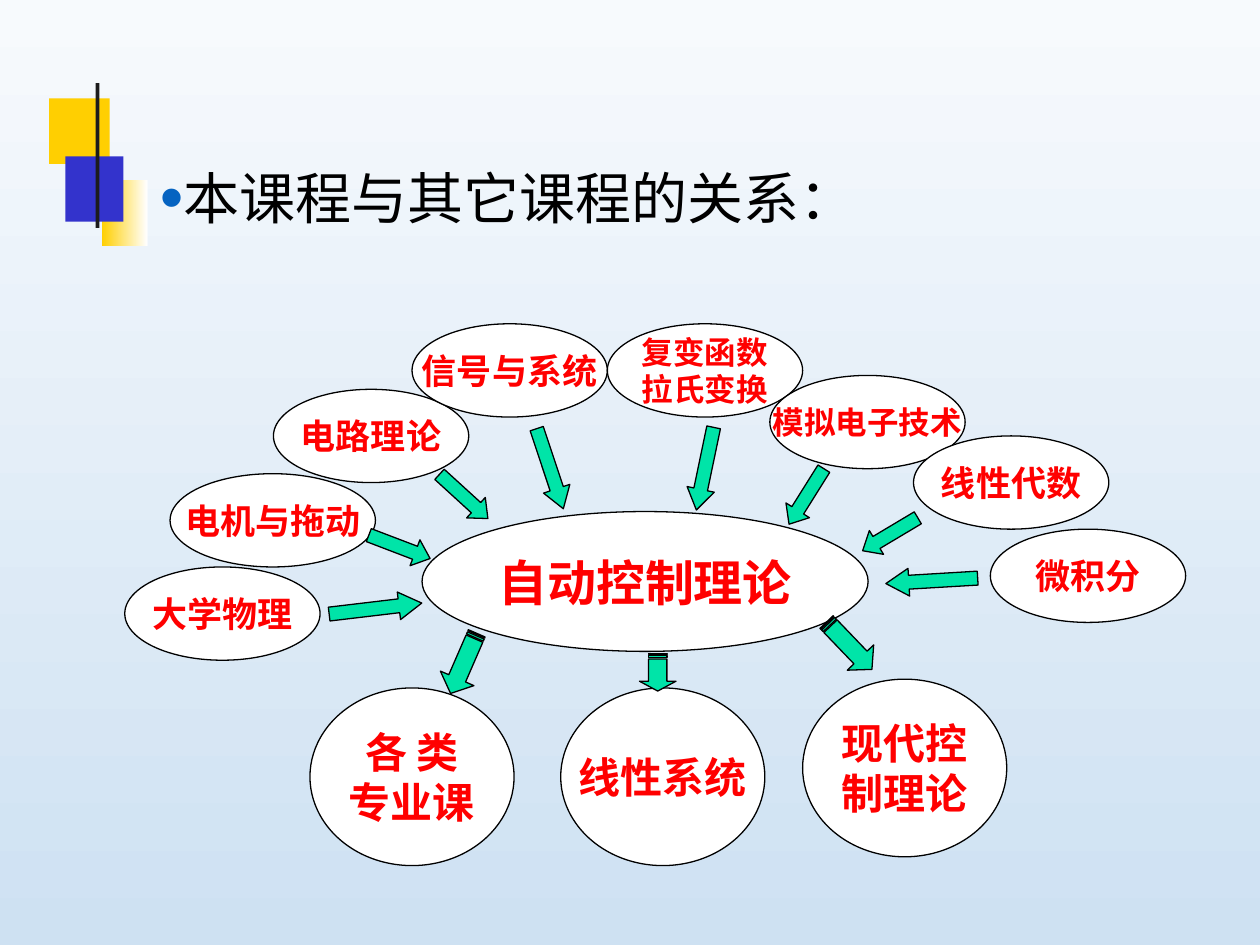
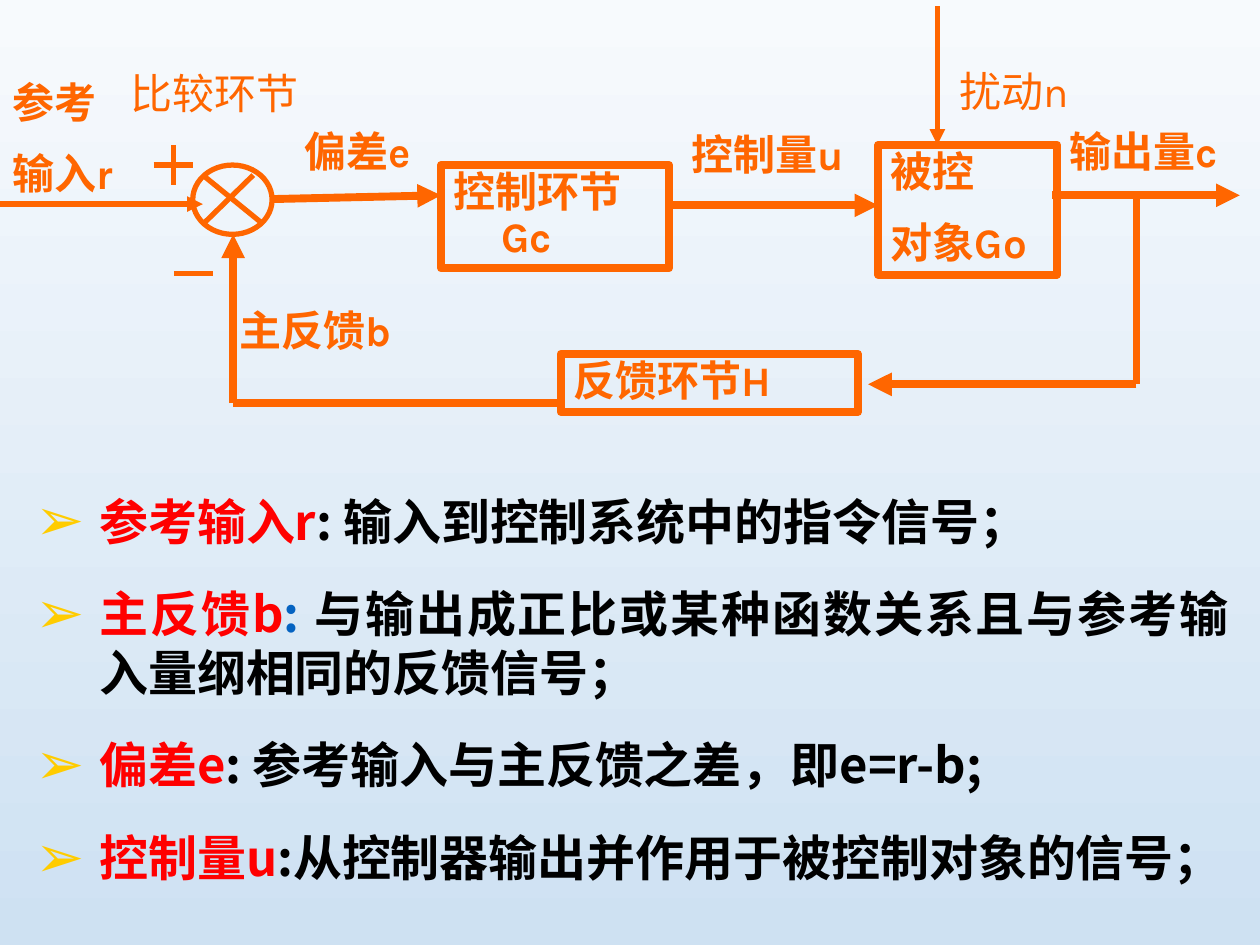
from lxml import etree
from pptx import Presentation
from pptx import util as u
from pptx.dml import color
from pptx.enum import shapes, text
from pptx.oxml import ns

CJK = "Noto Sans CJK SC"
ORANGE, RED, BLACK, WHITE = "FF6600", "FF0000", "000000", "FFFFFF"
YELLOW, INDIGO, GREEN, BLUE = "FFCF01", "3333CC", "00E4A8", "0563C1"
SKY = ("F7FAFD", "CEE1F2")
CM_PER_UNIT = 2.54
KIND = shapes.MSO_SHAPE
ALIGN = text.PP_ALIGN


def rgb(value):
    """Turn a hex string into a colour."""
    return color.RGBColor.from_string(value)


def lengths(*values):
    """Turn layout units, ten to the slide width, into lengths."""
    return [u.Cm(value * CM_PER_UNIT) for value in values]


def add_element(parent, tag, **attributes):
    """Append a DrawingML element to a parent."""
    return etree.SubElement(parent, ns.qn(tag), attributes)


def fill_gradient(fill, colours, angle):
    """Fill with a two-colour gradient; the angle runs anticlockwise."""
    fill.gradient()
    fill.gradient_angle = angle
    for stop, value in zip(fill.gradient_stops, colours):
        stop.color.rgb = rgb(value)


def add_slide(presentation):
    """Add a blank slide with the shared sky background."""
    slide = presentation.slides.add_slide(presentation.slide_layouts[6])
    fill_gradient(slide.background.fill, SKY, 270)
    return slide


def add_shape(slide, kind, box, fill=None, line=None, width=0.75):
    """Add a preset shape without shadow."""
    shape = slide.shapes.add_shape(kind, *lengths(*box))
    shape.shadow.inherit = False
    if fill:
        shape.fill.solid()
        shape.fill.fore_color.rgb = rgb(fill)
    else:
        shape.fill.background()
    if line:
        shape.line.color.rgb = rgb(line)
        shape.line.width = u.Pt(width)
    else:
        shape.line.fill.background()
    return shape


def add_bullet(paragraph, character, colour):
    """Give a paragraph an enlarged coloured bullet."""
    properties = paragraph._p.get_or_add_pPr()
    add_element(add_element(properties, "a:buClr"), "a:srgbClr", val=colour)
    add_element(properties, "a:buSzPct", val="120000")
    add_element(properties, "a:buFont", typeface="Arial")
    add_element(properties, "a:buChar", char=character)


def write_text(shape, paragraphs, size, font, bold=True, align=ALIGN.LEFT, hang=0,
               before=0, spacing=None, bullet=None, anchor=text.MSO_ANCHOR.TOP, wrap=True):
    """Write paragraphs, each a list of (text, colour) runs."""
    frame = shape.text_frame
    frame.word_wrap = wrap
    frame.vertical_anchor = anchor
    for index, runs in enumerate(paragraphs):
        paragraph = frame.add_paragraph() if index else frame.paragraphs[0]
        if bullet:
            add_bullet(paragraph, *bullet)
        if hang:
            properties = paragraph._p.get_or_add_pPr()
            indent, = lengths(hang)
            properties.set("marL", str(indent))
            properties.set("indent", str(-indent))
        paragraph.alignment = align
        if spacing:
            paragraph.line_spacing = spacing
        if index and before:
            paragraph.space_before = u.Pt(before)
        for words, colour in runs:
            run = paragraph.add_run()
            run.text = words
            run.font.size = u.Pt(size)
            run.font.bold = bold
            run.font.name = font
            run.font.color.rgb = rgb(colour)
            add_element(run._r.get_or_add_rPr(), "a:ea", typeface=CJK)


def add_text_box(slide, box, paragraphs, **style):
    """Add a text box with styled paragraphs."""
    write_text(slide.shapes.add_textbox(*lengths(*box)), paragraphs, **style)


def add_course(slide, box, lines, size=20, font="Arial"):
    """Add a white ellipse naming a course."""
    ellipse = add_shape(slide, KIND.OVAL, box, WHITE, BLACK)
    write_text(ellipse, [[(line, RED)] for line in lines.split("\n")], size, font,
               align=ALIGN.CENTER, anchor=text.MSO_ANCHOR.MIDDLE, wrap=False)


def add_block_arrow(slide, kind, box, rotation, head):
    """Add a rotated green block arrow with a given head length."""
    arrow = add_shape(slide, kind, box, GREEN, BLACK)
    arrow.rotation = rotation
    arrow.adjustments[0] = 0.5
    arrow.adjustments[1] = head


def add_line(slide, start, end, width=4.5, arrow=False):
    """Add an orange line, with an arrowhead at its end on request."""
    line = slide.shapes.add_connector(shapes.MSO_CONNECTOR.STRAIGHT, *lengths(*start, *end))
    line.line.color.rgb = rgb(ORANGE)
    line.line.width = u.Pt(width)
    if arrow:
        add_element(line.line._get_or_add_ln(), "a:tailEnd", type="triangle")
    add_element(line._element.spPr, "a:effectLst")


def add_label(slide, box, lines, bold=True, framed=False):
    """Add an orange diagram label, framed when it is a block."""
    if framed:
        shape = add_shape(slide, KIND.RECTANGLE, box, line=ORANGE, width=4.5)
    else:
        shape = slide.shapes.add_textbox(*lengths(*box))
    write_text(shape, [[(line, ORANGE)] for line in lines.split("\n")], 24, "Karla",
               bold=bold, hang=0.38, before=15, spacing=0.9)


def add_corner_ornament(slide):
    """Add the coloured squares and the bar beside the title."""
    add_shape(slide, KIND.RECTANGLE, (0.39, 0.78, 0.48, 0.52), YELLOW)
    faded = add_shape(slide, KIND.RECTANGLE, (0.81, 1.43, 0.36, 0.52), YELLOW)
    fill_gradient(faded.fill, (YELLOW, WHITE), 0)
    add_shape(slide, KIND.RECTANGLE, (0.52, 1.24, 0.46, 0.52), INDIGO)
    add_shape(slide, KIND.RECTANGLE, (0.76, 0.66, 0.03, 1.15), "1C1C1C")


def build_course_map(slide):
    """Build the slide on how the course relates to others."""
    add_corner_ornament(slide)
    add_text_box(slide, (1.17, 1.25, 7, 0.71), [[("本课程与其它课程的关系：", BLACK)]],
                 size=32, font=CJK, bold=False, bullet=("•", BLUE))
    add_course(slide, (3.35, 4.06, 3.54, 1.11), "自动控制理论", 28)
    for left, top, width, name, size in (
            (7.86, 4.2, 1.55, "微积分", 20), (2.17, 3.09, 1.55, "电路理论", 20),
            (1.35, 3.76, 1.63, "电机与拖动", 20), (0.99, 4.5, 1.55, "大学物理", 20),
            (3.27, 2.57, 1.55, "信号与系统", 20), (4.82, 2.57, 1.55, "复变函数\n拉氏变换", 18),
            (6.11, 2.98, 1.55, "模拟电子技术", 18), (7.25, 3.46, 1.55, "线性代数", 20)):
        add_course(slide, (left, top, width, 0.74), name, size)
    for left, top, name in ((2.46, 5.46, "各 类\n专业课"), (4.45, 5.46, "线性系统"),
                            (6.37, 5.39, "现代控\n制理论")):
        add_course(slide, (left, top, 1.62, 1.41), name, 24, CJK)
    for left, top, width, rotation, head in (
            (2.61, 4.72, 0.74, 353.2, 0.83), (2.91, 4.23, 0.52, 20.9, 0.58),
            (3.42, 3.83, 0.52, 42.4, 0.58), (4.03, 3.61, 0.67, 71.6, 0.76),
            (5.26, 3.61, 0.67, 101.8, 0.76), (7.03, 4.5, 0.73, 176.6, 0.83),
            (6.81, 4.13, 0.51, 149.2, 0.58), (6.14, 3.83, 0.52, 122.1, 0.59)):
        add_block_arrow(slide, KIND.RIGHT_ARROW, (left, top, width, 0.22), rotation, head)
    for left, top, width, rotation, head in (
            (3.42, 5.12, 0.52, 113.5, 0.45), (6.48, 4.98, 0.52, 46.2, 0.45),
            (5.07, 5.19, 0.3, 90, 0.27)):
        add_block_arrow(slide, KIND.STRIPED_RIGHT_ARROW, (left, top, width, 0.29), rotation, head)


def build_control_loop(slide):
    """Build the feedback loop diagram and its definitions."""
    for box, name in (((3.5, 1.31, 1.81, 0.82), "控制环节Gc"),
                      ((6.97, 1.15, 1.42, 1.03), "被控\n对象Go"),
                      ((4.45, 2.81, 2.36, 0.46), "反馈环节H")):
        add_label(slide, box, name, framed=True)
    add_shape(slide, KIND.OVAL, (1.53, 1.31, 0.63, 0.55), line=ORANGE, width=3)
    for start, end in (((1.61, 1.39), (2.09, 1.78)), ((2.01, 1.39), (1.61, 1.78)),
                       ((1.22, 1.31), (1.53, 1.31)), ((1.38, 1.15), (1.38, 1.47)),
                       ((1.38, 2.17), (1.69, 2.17))):
        add_line(slide, start, end, 3)
    for start, end in (((0, 1.62), (1.61, 1.62)), ((7.44, 0.05), (7.44, 1.15))):
        add_line(slide, start, end, 3, arrow=True)
    for start, end in (((9.02, 1.55), (9.02, 3.05)), ((4.45, 3.2), (1.85, 3.2))):
        add_line(slide, start, end)
    for start, end in (((8.35, 1.55), (9.84, 1.55)), ((2.16, 1.58), (3.5, 1.55)),
                       ((5.31, 1.63), (6.97, 1.63)), ((9.02, 3.05), (6.89, 3.05)),
                       ((1.85, 3.2), (1.85, 1.86))):
        add_line(slide, start, end, arrow=True)
    add_label(slide, (0, 0.6, 1.06, 1.39), "参考\n输入r")
    for left, top, width, name, bold in (
            (5.39, 1.02, 1.5, "控制量u", True), (8.39, 0.99, 2.01, "输出量c", True),
            (2.32, 0.99, 1.5, "偏差e", True), (1.8, 2.41, 1.5, "主反馈b", True),
            (0.94, 0.53, 1.73, "比较环节", False), (7.52, 0.52, 1.18, "扰动n", False)):
        add_label(slide, (left, top, width, 0.46), name, bold)
    definitions = [
        [("参考输入r", RED), (": 输入到控制系统中的指令信号；", BLACK)],
        [("主反馈b", RED), (": ", BLUE),
         ("与输出成正比或某种函数关系且与参考输入量纲相同的反馈信号；", BLACK)],
        [("偏差e", RED), (": 参考输入与主反馈之差，即e=r-b;", BLACK)],
        [("控制量u", RED), (":从控制器输出并作用于被控制对象的信号；", BLACK)],
    ]
    add_text_box(slide, (0.18, 3.85, 9.67, 3.4), definitions, size=28, font=CJK,
                 align=ALIGN.JUSTIFY, hang=0.51, before=19.2, bullet=("➢", "FFCC00"))


def main():
    """Build and save the presentation."""
    presentation = Presentation()
    presentation.slide_width, presentation.slide_height = lengths(10, 7.5)
    build_course_map(add_slide(presentation))
    build_control_loop(add_slide(presentation))
    presentation.save("out.pptx")


if __name__ == "__main__":
    main()
